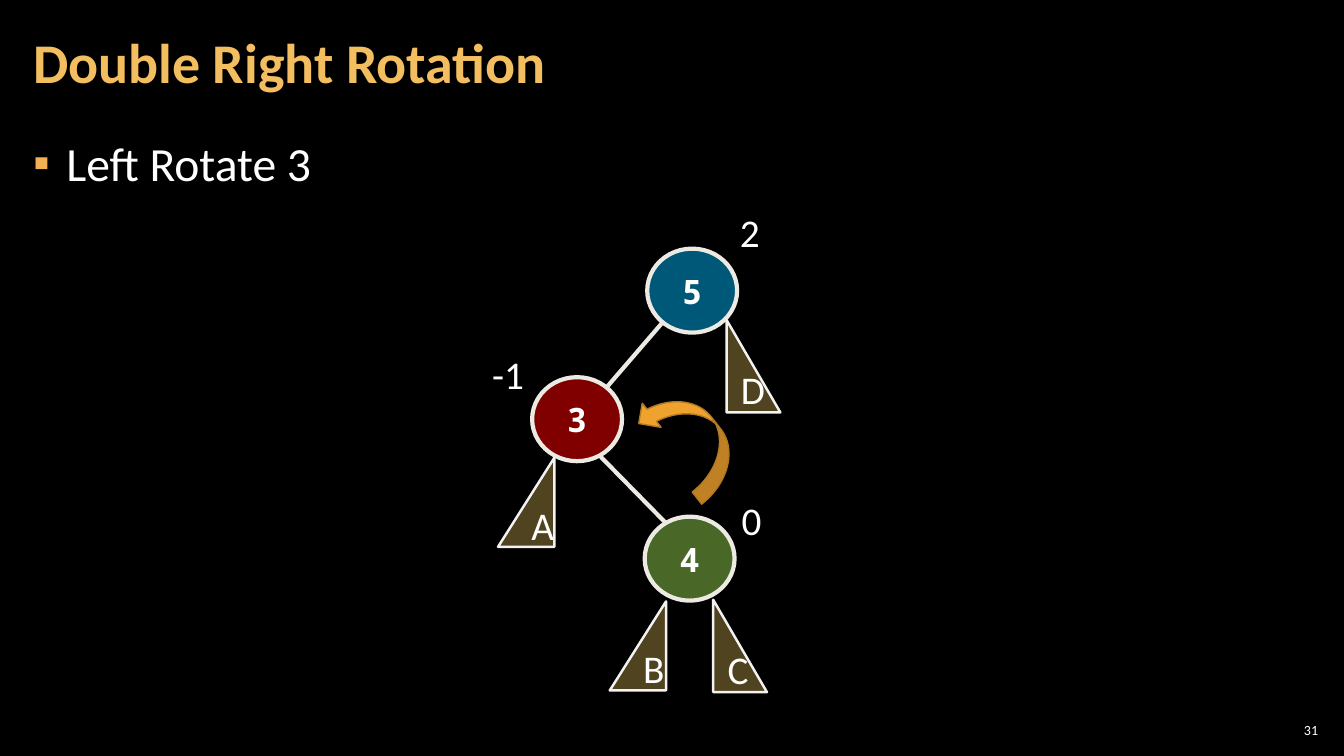
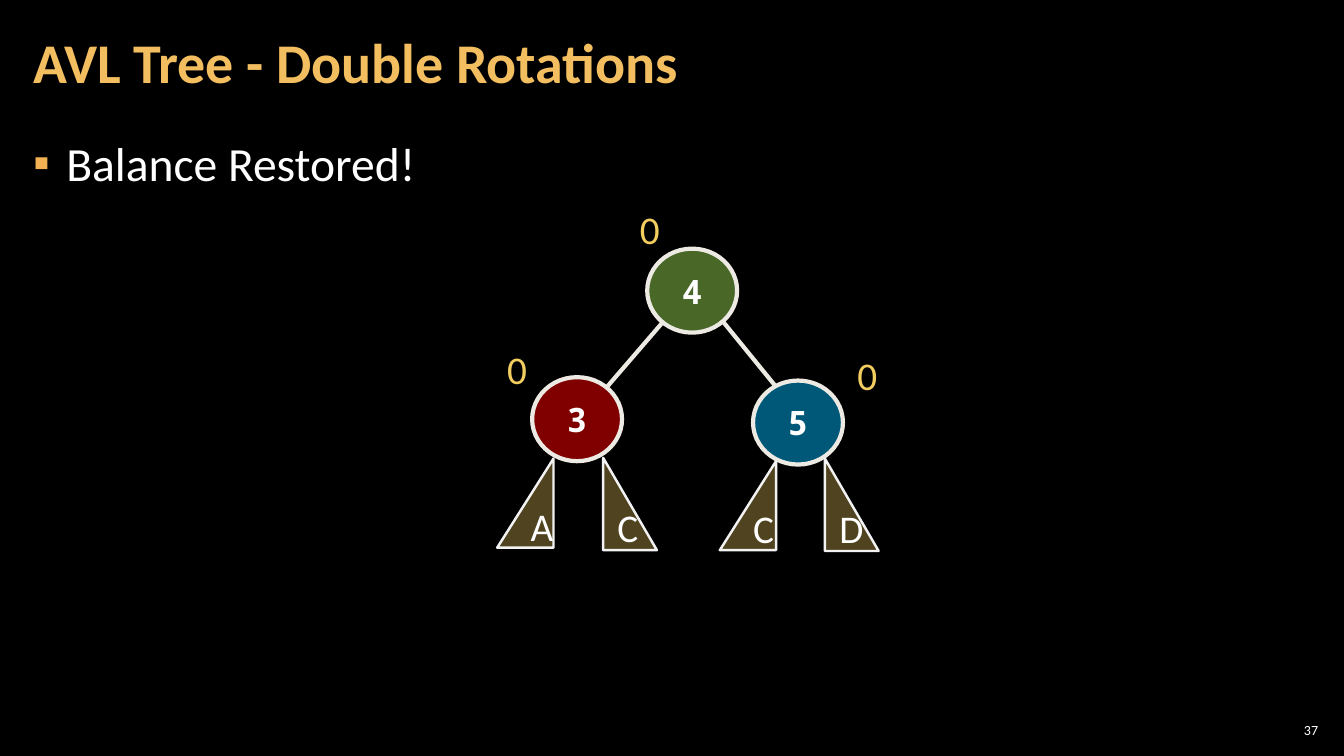
from math import cos, radians, sin

from lxml import etree
from pptx import Presentation
from pptx.dml.color import RGBColor
from pptx.enum.shapes import MSO_CONNECTOR, MSO_SHAPE
from pptx.enum.text import MSO_ANCHOR, MSO_AUTO_SIZE, PP_ALIGN
from pptx.oxml.ns import qn
from pptx.util import Emu, Inches, Pt

STRAIGHT = MSO_CONNECTOR.STRAIGHT
OVAL, TRIANGLE, CURVED_ARROW = MSO_SHAPE.OVAL, MSO_SHAPE.RIGHT_TRIANGLE, MSO_SHAPE.CURVED_UP_ARROW
MIDDLE, TOP = MSO_ANCHOR.MIDDLE, MSO_ANCHOR.TOP
LEFT, CENTER, RIGHT = PP_ALIGN.LEFT, PP_ALIGN.CENTER, PP_ALIGN.RIGHT
NO_FIT, GROW = MSO_AUTO_SIZE.NONE, MSO_AUTO_SIZE.SHAPE_TO_FIT_TEXT

UNIT = Inches(1) // 12
COLUMNS, ROWS = 160, 90

COLORS = {
    "background": "000000", "text": "FFFFFF", "title": "F3BE60", "bullet": "F2B254",
    "outline": "ECEAE3", "subtree": "F3CD60", "subtree_line": "F2F2F2",
    "arrow": "F0A22E", "arrow_line": "B27822",
    "3": "FF0000", "4": "92D050", "5": "00B0F0",
}
FONTS = {
    "title": {"name": "Calibri", "size": Pt(40), "bold": True},
    "body": {"name": "Calibri", "size": Pt(34), "bold": False},
    "label": {"name": "Calibri", "size": Pt(28), "bold": False},
    "node": {"name": "Noto Sans Mono", "size": Pt(24), "bold": True},
    "number": {"name": "Calibri", "size": Pt(10), "bold": False},
}
PLACEHOLDER_FRAME = {
    "word_wrap": True, "auto_size": NO_FIT,
    "margin_left": Inches(0.12), "margin_right": Inches(0.12),
    "margin_top": Inches(0.04), "margin_bottom": Inches(0.04),
}
NUMBER_FRAME = dict(PLACEHOLDER_FRAME, vertical_anchor=MIDDLE,
                    margin_left=Inches(0.04), margin_right=Inches(0.04))
NODE_SIZE = (10.7, 10)
LABEL_SIZE = (7.3, 6.8)
SUBTREE_SIZES = {"left": (6.7, 10.6), "right": (6.4, 11)}


def apply_format(target, values):
    for name, value in values.items():
        setattr(target, name, value)


def grid(*lengths):
    return [Emu(round(length * UNIT)) for length in lengths]


class TreeDeck:
    def __init__(self):
        self.deck = Presentation()
        self.deck.slide_width, self.deck.slide_height = grid(COLUMNS, ROWS)
        fill = self.deck.slide_master.background.fill
        fill.solid()
        fill.fore_color.rgb = self.color("background")
        self.page = None

    def color(self, name):
        return RGBColor.from_string(COLORS[name])

    def put_text(self, box, text, font, frame, layout, color="text"):
        apply_format(box.text_frame, frame)
        para = box.text_frame.paragraphs[0]
        apply_format(para, layout)
        span = para.add_run()
        span.text = text
        apply_format(span.font, FONTS[font])
        span.font.color.rgb = self.color(color)

    def place(self, box, left, top, width, height):
        values = grid(left, top, width, height)
        apply_format(box, dict(zip(("left", "top", "width", "height"), values)))

    def add_page(self, title, bullet, number):
        self.page = self.deck.slides.add_slide(self.deck.slide_layouts[1])
        self.title(title)
        self.bullet(bullet)
        self.number(number)

    def title(self, text):
        box = self.page.shapes.title
        self.place(box, 2.5, 0.5, 125.6, 14.5)
        self.put_text(box, text, "title", dict(PLACEHOLDER_FRAME, vertical_anchor=MIDDLE),
                      {"alignment": LEFT, "line_spacing": 0.9}, "title")

    def bullet(self, text):
        box = self.page.placeholders[1]
        self.place(box, 2.5, 15.1, 154.9, 73.1)
        properties = box.text_frame.paragraphs[0]._p.get_or_add_pPr()
        properties.set("marL", str(Inches(0.33)))
        properties.set("indent", str(-Inches(0.33)))
        tint = etree.SubElement(properties, qn("a:buClr"))
        etree.SubElement(tint, qn("a:srgbClr"), val=COLORS["bullet"])
        etree.SubElement(properties, qn("a:buChar"), char="▪")
        self.put_text(box, text, "body", dict(PLACEHOLDER_FRAME, vertical_anchor=TOP),
                      {"line_spacing": 1.05, "space_before": Pt(0), "space_after": Pt(6)})

    def number(self, text):
        box = self.page.shapes.add_textbox(*grid(151.8, 85.7, 5.6, 2.5))
        self.put_text(box, text, "number", NUMBER_FRAME, {"alignment": RIGHT})

    def shape(self, kind, frame, fill, line, weight, opacity=100):
        shape = self.page.shapes.add_shape(kind, *grid(*frame))
        shape.shadow.inherit = False
        shape.fill.solid()
        shape.fill.fore_color.rgb = self.color(fill)
        shape.line.color.rgb = self.color(line)
        shape.line.width = Pt(weight)
        if opacity < 100:
            tint = shape.element.spPr.find(qn("a:solidFill")).find(qn("a:srgbClr"))
            etree.SubElement(tint, qn("a:alpha"), val=str(opacity * 1000))
        return shape

    def node(self, key, center):
        width, height = NODE_SIZE
        frame = (center[0] - width / 2, center[1] - height / 2, width, height)
        shape = self.shape(OVAL, frame, key, "outline", 3, 50)
        self.put_text(shape, key, "node", {"word_wrap": False, "vertical_anchor": MIDDLE},
                      {"alignment": CENTER})

    def edge(self, parent, child, parent_angle, child_angle):
        side = 1 if child[0] > parent[0] else -1
        ends = []
        for center, angle, way in ((parent, parent_angle, 1), (child, child_angle, -1)):
            ends.append(center[0] + way * side * NODE_SIZE[0] / 2 * cos(radians(angle)))
            ends.append(center[1] + way * NODE_SIZE[1] / 2 * sin(radians(angle)))
        line = self.page.shapes.add_connector(STRAIGHT, *grid(*ends))
        line.line.color.rgb = self.color("outline")
        line.line.width = Pt(3)
        etree.SubElement(line._element.spPr, qn("a:effectLst"))

    def subtree(self, text, center, across, down):
        side = "left" if across < 0 else "right"
        width, height = SUBTREE_SIZES[side]
        left = center[0] + across - (width if side == "left" else 0)
        shape = self.shape(TRIANGLE, (left, center[1] + down, width, height),
                           "subtree", "subtree_line", 1.75, 33)
        if side == "left":
            shape.element.spPr.find(qn("a:xfrm")).set("flipH", "1")
        self.put_text(shape, text, "label", {"word_wrap": True, "vertical_anchor": MIDDLE},
                      {"alignment": CENTER})

    def balance(self, text, center, across, down, color):
        box = self.page.shapes.add_textbox(
            *grid(center[0] + across, center[1] + down, *LABEL_SIZE))
        self.put_text(box, text, "label", {"word_wrap": True, "auto_size": GROW},
                      {"alignment": LEFT}, color)

    def rotation_arrow(self, frame, angle):
        arrow = self.shape(CURVED_ARROW, frame, "arrow", "arrow_line", 1)
        arrow.rotation = angle

    def tree(self, centers, edges, subtrees, balances, balance_color):
        for parent, child, *angles in edges:
            self.edge(centers[parent], centers[child], *angles)
        for key, center in centers.items():
            self.node(key, center)
        for text, key, *offset in subtrees:
            self.subtree(text, centers[key], *offset)
        for text, key, *offset in balances:
            self.balance(text, centers[key], *offset, balance_color)


def main():
    show = TreeDeck()
    root, left_child = (82.4, 34.6), (68.7, 49.9)

    show.add_page("Double Right Rotation", "Left Rotate 3", "31")
    show.tree(
        {"5": root, "3": left_child, "4": (82.1, 66.5)},
        [("5", "3", 49, 49), ("3", "4", 60, 58)],
        [("D", "5", 4.1, 3.5), ("A", "3", -2.7, 4.6),
         ("C", "4", 2.8, 4.9), ("B", "4", -2.8, 5.1)],
        [("2", "5", 4.5, -10.4), ("-1", "3", -11.3, -8.8), ("0", "4", 5, -8)],
        "text")
    show.rotation_arrow((75.1, 48.6, 14, 7.3), 232)

    show.add_page("AVL Tree - Double Rotations", "Balance Restored!", "37")
    show.tree(
        {"4": root, "3": left_child, "5": (95, 50.3)},
        [("4", "3", 49, 49), ("4", "5", 47, 60)],
        [("A", "3", -2.8, 4.7), ("C", "3", 3.1, 4.6),
         ("D", "5", 3.2, 4.3), ("C", "5", -2.6, 4.6)],
        [("0", "5", 5.9, -9.1), ("0", "4", -7.4, -10.7), ("0", "3", -9.5, -9.4)],
        "subtree")

    show.deck.save("out.pptx")


if __name__ == "__main__":
    main()
